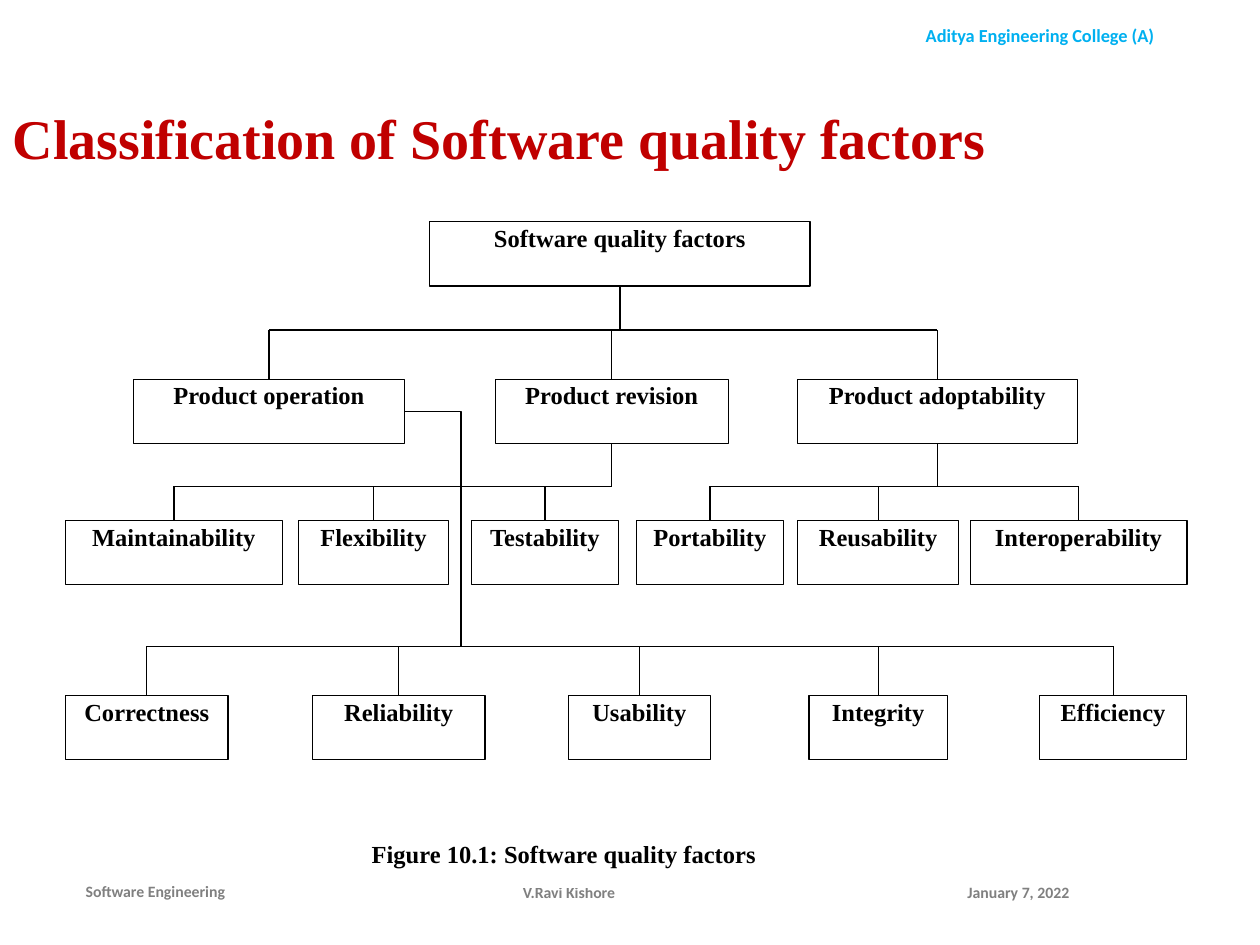
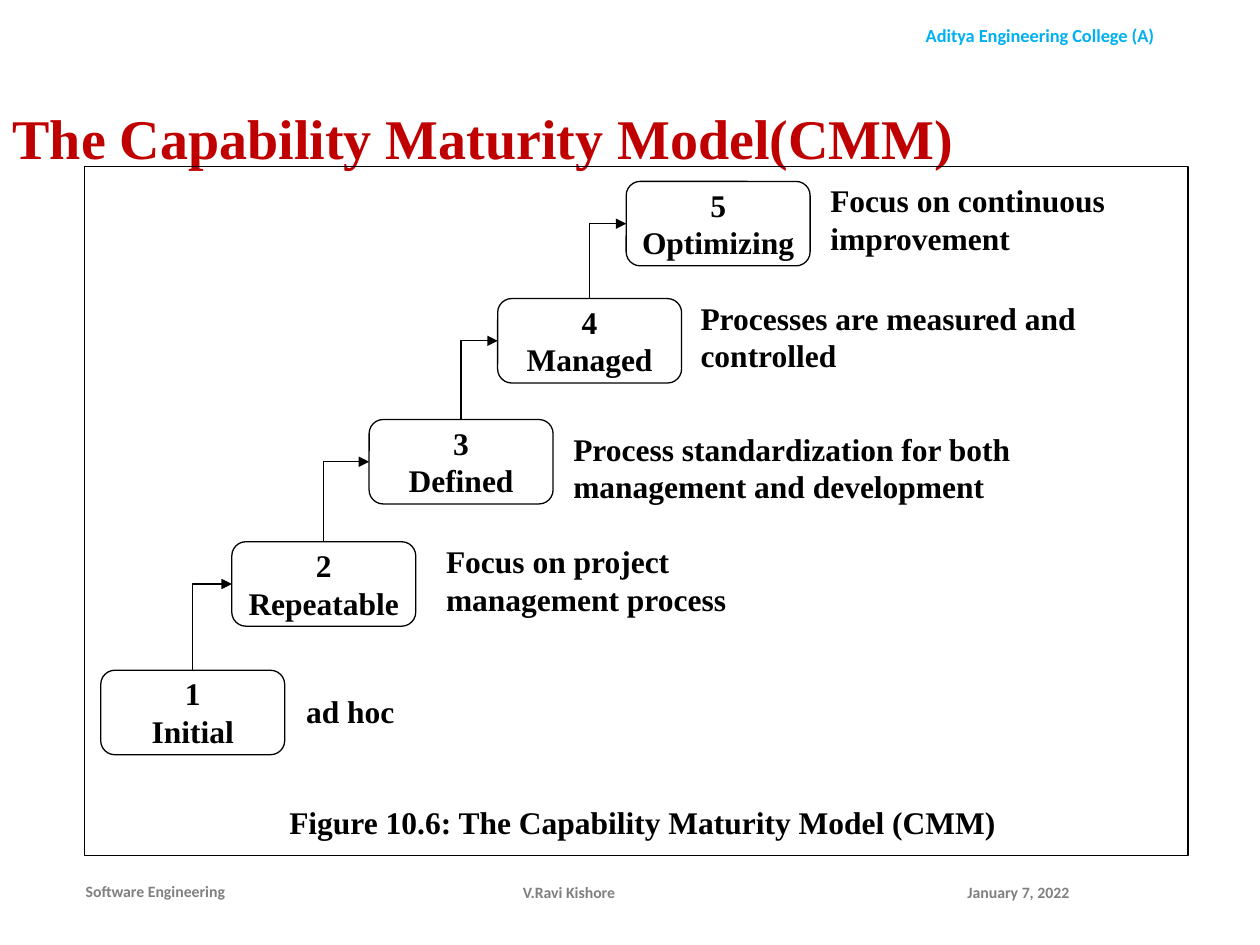
import lxml.etree
import pptx
import pptx.dml.color
import pptx.enum.shapes
import pptx.enum.text
import pptx.oxml.ns
import pptx.util

COLUMNS, ROWS = 100, 75
COLOURS = {"ink": "000000", "paper": "FFFFFF", "title": "C00000", "college": "00B0F0", "footer": "808080"}
SERIF, SANS = "Times New Roman", "Calibri"
ALIGN = pptx.enum.text.PP_ALIGN
ANCHOR = pptx.enum.text.MSO_ANCHOR
SHAPE = pptx.enum.shapes.MSO_SHAPE
CONNECTOR = pptx.enum.shapes.MSO_CONNECTOR
qn = pptx.oxml.ns.qn


class Lecture:
    """Holds the lecture's style and the page being drawn on a 100 by 75 grid."""

    def __init__(self):
        self.deck = pptx.Presentation()
        self.deck.slide_width = pptx.util.Inches(10)
        self.deck.slide_height = pptx.util.Inches(7.5)
        self.page = None

    def across(self, columns):
        return round(self.deck.slide_width * columns / COLUMNS)

    def down(self, rows):
        return round(self.deck.slide_height * rows / ROWS)

    def area(self, left, top, width, height):
        return self.across(left), self.down(top), self.across(width), self.down(height)

    def colour(self, name):
        return pptx.dml.color.RGBColor.from_string(COLOURS[name])

    def set_text(self, item, text, size, font=SERIF, colour="ink", align=ALIGN.LEFT,
                 anchor=ANCHOR.TOP, inset=(0.1, 0.05)):
        frame = item.text_frame
        frame.text = text
        frame.word_wrap = True
        frame.vertical_anchor = anchor
        frame.margin_left = frame.margin_right = pptx.util.Inches(inset[0])
        frame.margin_top = frame.margin_bottom = pptx.util.Inches(inset[1])
        for para in frame.paragraphs:
            para.alignment = align
            para.font.name = font
            para.font.size = pptx.util.Pt(size)
            para.font.bold = True
            para.font.color.rgb = self.colour(colour)

    def label(self, place, text, size, colour, **style):
        box = self.page.shapes.add_textbox(*self.area(*place))
        self.set_text(box, text, size, SANS, colour, **style)

    def start_page(self, heading):
        self.page = self.deck.slides.add_slide(self.deck.slide_layouts[5])
        title = self.page.shapes.title
        title.left, title.top, title.width, title.height = self.area(0, 4, 86.2, 14.5)
        self.set_text(title, heading, 32, colour="title", anchor=ANCHOR.MIDDLE)
        title.text_frame.auto_size = pptx.enum.text.MSO_AUTO_SIZE.NONE
        title.text_frame.paragraphs[0].line_spacing = 0.9
        self.label((68.2, 1.4, 28.7, 2.8), "Aditya Engineering College (A)", 10.5, "college",
                   align=ALIGN.CENTER)
        self.label((6.1, 68.7, 15.8, 4), "Software Engineering", 9, "footer",
                   align=ALIGN.JUSTIFY, anchor=ANCHOR.MIDDLE, inset=(0.07, 0.04))
        self.label((75.8, 68.8, 17.3, 4), "January 7, 2022", 9, "footer", anchor=ANCHOR.MIDDLE)
        self.label((33.9, 68.8, 22.5, 4), "V.Ravi Kishore", 9, "footer",
                   align=ALIGN.CENTER, anchor=ANCHOR.MIDDLE)

    def box(self, place, text="", size=14, kind=SHAPE.RECTANGLE, fill="paper", line="ink",
            align=ALIGN.CENTER, inset=(0, 0)):
        box = self.page.shapes.add_shape(kind, *self.area(*place))
        box.shadow.inherit = False
        if fill:
            box.fill.solid()
            box.fill.fore_color.rgb = self.colour(fill)
        else:
            box.fill.background()
        box.line.color.rgb = self.colour(line)
        box.line.width = pptx.util.Pt(0.75)
        if text:
            self.set_text(box, text, size, align=align, inset=inset)
        return box

    def note(self, place, text, size=18, align=ALIGN.LEFT):
        self.box(place, text, size, line="paper", align=align)

    def connector(self, kind, start, end):
        line = self.page.shapes.add_connector(kind, *start, *end)
        line.line.color.rgb = self.colour("ink")
        line.line.width = pptx.util.Pt(0.75)
        lxml.etree.SubElement(line._element.spPr, qn("a:effectLst"))
        return line

    def straight(self, start, end):
        return self.connector(CONNECTOR.STRAIGHT, start, end)

    def elbow(self, start, end):
        line = self.connector(CONNECTOR.ELBOW, start, end)
        line._element.spPr.find(qn("a:prstGeom")).set("prst", "bentConnector2")
        return line

    def climb(self, lower, upper):
        """Draws an arrow up from the lower box and right into the upper one."""
        left, bottom = middle(lower), lower.top
        right, top = upper.left, upper.top + upper.height // 2
        centre_x, centre_y = (left + right) // 2, (top + bottom) // 2
        half_rise, half_run = (bottom - top) // 2, (right - left) // 2
        line = self.elbow((centre_x - half_rise, centre_y - half_run),
                          (centre_x + half_rise, centre_y + half_run))
        properties = line._element.spPr
        properties.find(qn("a:xfrm")).set("rot", str(270 * 60000))
        lxml.etree.SubElement(properties.find(qn("a:ln")), qn("a:tailEnd"), type="triangle")

    def factors(self, top, entries):
        return [self.box((left, top, width, 5.1), text, inset=(0.02, 0.01))
                for text, left, width in entries]

    def branch(self, stem, children, bus_row):
        """Draws a bus from the stem over the children and a drop to each child."""
        bus = self.down(bus_row)
        reach = [stem, *map(middle, children)]
        self.straight((min(reach), bus), (max(reach), bus))
        for child in children:
            drop = self.straight((middle(child), bus), (middle(child), child.top))
            drop.end_connect(child, 0)

    def family(self, parent, children, bus_row):
        stem = middle(parent)
        trunk = self.straight((stem, parent.top + parent.height), (stem, self.down(bus_row)))
        trunk.begin_connect(parent, 2)
        self.branch(stem, children, bus_row)


def middle(box):
    return box.left + box.width // 2


def draw_quality_factors(lecture):
    lecture.start_page("Classification of Software quality factors")
    root, = lecture.factors(17.6, [("Software quality factors", 34.1, 30.2)])
    groups = lecture.factors(30.1, [
        ("Product operation", 10.6, 21.5),
        ("Product revision", 39.3, 18.5),
        ("Product adoptability", 63.3, 22.2),
    ])
    operation, revision, adoptability = groups
    details = lecture.factors(41.3, [
        ("Maintainability", 5.2, 17.2),
        ("Flexibility", 23.7, 11.9),
        ("Testability", 37.4, 11.7),
        ("Portability", 50.5, 11.7),
        ("Reusability", 63.3, 12.8),
        ("Interoperability", 77, 17.2),
    ])
    operation_factors = lecture.factors(55.2, [
        ("Correctness", 5.2, 12.9),
        ("Reliability", 24.8, 13.7),
        ("Usability", 45.1, 11.3),
        ("Integrity", 64.2, 11),
        ("Efficiency", 82.5, 11.7),
    ])
    lecture.family(root, groups, 26.2)
    lecture.family(revision, details[:3], 38.6)
    lecture.family(adoptability, details[3:], 38.6)
    stem, bus_row = lecture.across(36.6), 51.3
    lecture.elbow((operation.left + operation.width, operation.top + operation.height // 2),
                  (stem, lecture.down(bus_row)))
    lecture.branch(stem, operation_factors, bus_row)
    lecture.note((29.5, 66.6, 39.6, 3.8), "Figure 10.1: Software quality factors", 14)


def draw_maturity_model(lecture):
    lecture.start_page("The Capability Maturity Model(CMM)")
    lecture.box((6.7, 13.2, 87.6, 54.7), fill=None)
    levels = [
        ("Initial", 8, 53.2, "ad hoc", (24.3, 54.9, 19.6, 3.3)),
        ("Repeatable", 18.4, 43, "Focus on project management process", (35.4, 43, 24.4, 6.7)),
        ("Defined", 29.3, 33.3, "Process standardization for both management and development",
         (45.5, 34.1, 38.2, 5.9)),
        ("Managed", 39.5, 23.7, "Processes are measured and controlled", (55.6, 23.7, 32.5, 6.7)),
        ("Optimizing", 49.7, 14.4, "Focus on continuous improvement", (65.9, 14.4, 24.3, 6.7)),
    ]
    steps = []
    for number, (name, left, top, focus, place) in enumerate(levels, 1):
        steps.append(lecture.box((left, top, 14.6, 6.7), f"{number}\n{name}", 18,
                                 SHAPE.ROUNDED_RECTANGLE))
        lecture.note(place, focus)
    for lower, upper in zip(steps, steps[1:]):
        lecture.climb(lower, upper)
    lecture.note((18.4, 63.7, 65.2, 3.5), "Figure 10.6: The Capability Maturity Model (CMM)",
                 align=ALIGN.CENTER)


def main():
    lecture = Lecture()
    draw_quality_factors(lecture)
    draw_maturity_model(lecture)
    lecture.deck.save("out.pptx")


if __name__ == "__main__":
    main()
